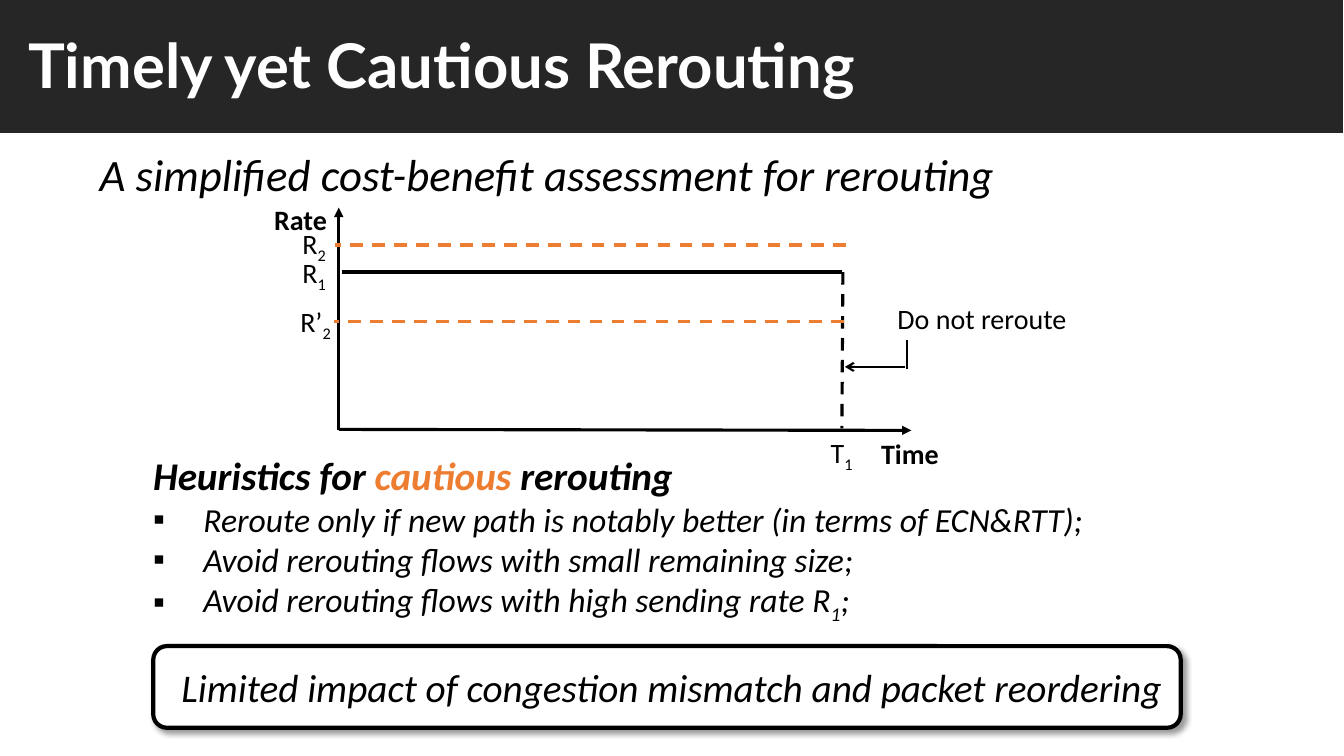
"""Build the slide on timely yet cautious rerouting."""
import pptx
import pptx.util
import pptx.dml.color
import pptx.enum.dml
import pptx.enum.shapes
import pptx.enum.text
import pptx.oxml
import pptx.oxml.ns
from lxml import etree

Inches, Pt = pptx.util.Inches, pptx.util.Pt
Align = pptx.enum.text.PP_ALIGN
Kind = pptx.enum.shapes.MSO_SHAPE
BLACK, WHITE, DARK, ORANGE = "000000", "FFFFFF", "262626", "ED7D31"

TITLE = "Timely yet Cautious Rerouting"
LEAD = "A simplified cost-benefit assessment for rerouting"
CLAIM = "Limited impact of congestion mismatch and packet reordering"
HEAD = [("Heuristics for ", BLACK), ("cautious", ORANGE), (" rerouting", BLACK)]
RULES = [
    ("Reroute only if new path is notably better (in terms of ECN&RTT);",),
    ("Avoid rerouting flows with small remaining size;",),
    ("Avoid rerouting flows with high sending rate R", "1", ";"),
]
LABELS = [
    ((8.64, 4.28, 1.41), ("Time",), True, Align.LEFT),
    ((2.62, 1.96, 1.41), ("Rate",), True, Align.LEFT),
    ((2.9, 2.49, 1.41), ("R", "1"), False, Align.LEFT),
    ((8.14, 4.27, 0.5), ("T", "1"), False, Align.LEFT),
    ((7.96, 2.94, 3.56), ("Do not reroute",), False, Align.CENTER),
    ((2.9, 2.2, 0.71), ("R", "2"), False, Align.LEFT),
    ((2.88, 2.97, 0.71), ("R’", "2"), False, Align.LEFT),
]
LINES = [
    ((3.36, 4.27, 3.36, 2.06), BLACK, 2.25, False, "triangle"),
    ((3.36, 4.26, 9.04, 4.27), BLACK, 2.25, False, "triangle"),
    ((3.39, 2.7, 8.35, 2.7), BLACK, 3, False, None),
    ((8.36, 2.7, 8.35, 4.25), BLACK, 2.25, True, None),
    ((9, 3.37, 9, 3.66), BLACK, 1.5, False, None),
    ((8.98, 3.64, 8.38, 3.64), BLACK, 1.5, False, "arrow"),
    ((8.39, 2.43, 3.32, 2.43), ORANGE, 2.25, True, None),
    ((8.37, 3.19, 3.31, 3.19), ORANGE, 2.25, True, None),
]
SHADOW = (
    '<a:effectLst %s><a:outerShdw blurRad="50800" dist="38100" dir="2700000">'
    '<a:srgbClr val="000000"><a:alpha val="40000"/></a:srgbClr>'
    "</a:outerShdw></a:effectLst>" % pptx.oxml.ns.nsdecls("a")
)


def rgb(code):
    return pptx.dml.color.RGBColor.from_string(code)


def node(host, tag, **attrs):
    return etree.SubElement(host, pptx.oxml.ns.qn(tag), **attrs)


def write(para, text, size, color=BLACK, bold=False, slant=False, face="Calibri"):
    run = para.add_run()
    run.text = text
    font = run.font
    font.name, font.size, font.bold, font.italic = face, Pt(size), bold, slant
    font.color.rgb = rgb(color)
    return run


def write_sub(para, parts, size, **style):
    for i, part in enumerate(parts):
        run = write(para, part, size, **style)
        if i == 1:
            run.font._element.set("baseline", "-25000")


def add_box(slide, spot, align=Align.LEFT):
    box = slide.shapes.add_textbox(*map(Inches, spot))
    box.text_frame.word_wrap = True
    para = box.text_frame.paragraphs[0]
    para.alignment = align
    return box.text_frame, para


def add_shape(slide, kind, spot, fill):
    shape = slide.shapes.add_shape(kind, *map(Inches, spot))
    shape.shadow.inherit = False
    shape.fill.solid()
    shape.fill.fore_color.rgb = rgb(fill)
    shape.line.fill.background()
    return shape


def add_line(slide, ends, color, width, dash, tip):
    link = slide.shapes.add_connector(
        pptx.enum.shapes.MSO_CONNECTOR.STRAIGHT, *map(Inches, ends))
    link.line.color.rgb = rgb(color)
    link.line.width = Pt(width)
    if dash:
        link.line.dash_style = pptx.enum.dml.MSO_LINE.DASH
    if tip:
        node(link.line._get_or_add_ln(), "a:tailEnd", type=tip)
    node(link._element.spPr, "a:effectLst")


def add_title(slide):
    title = slide.shapes.title
    title.left, title.top, title.width, title.height = map(
        Inches, (0.18, 0.22, 9.14, 0.84))
    frame = title.text_frame
    frame.word_wrap = True
    frame.auto_size = pptx.enum.text.MSO_AUTO_SIZE.NONE
    frame.vertical_anchor = pptx.enum.text.MSO_ANCHOR.TOP
    para = frame.paragraphs[0]
    para.alignment = Align.JUSTIFY
    write(para, TITLE, 44, WHITE, bold=True, face="Lato")
    bar = add_shape(slide, Kind.RECTANGLE, (-0.01, -0.05, 13.33, 1.37), DARK)
    title._element.addprevious(bar._element)


def add_rules(slide):
    frame, para = add_box(slide, (1.42, 4.43, 11.84, 2.19), Align.JUSTIFY)
    for text, color in HEAD:
        write(para, text, 28, color, bold=True, slant=True)
    for parts in RULES:
        para = frame.add_paragraph()
        para.alignment = Align.JUSTIFY
        props = para._p.get_or_add_pPr()
        props.set("marL", str(Inches(0.5)))
        props.set("indent", str(Inches(-0.5)))
        node(props, "a:buFont", typeface="Arial")
        node(props, "a:buChar", char="▪")
        write_sub(para, parts, 24, slant=True)


def add_claim(slide):
    card = add_shape(slide, Kind.ROUNDED_RECTANGLE, (1.52, 6.41, 10.19, 0.81), WHITE)
    card.line.color.rgb = rgb(BLACK)
    card.line.width = Pt(3)
    props = card._element.spPr
    props.replace(props.find(pptx.oxml.ns.qn("a:effectLst")),
                  pptx.oxml.parse_xml(SHADOW))
    frame, para = add_box(slide, (1.49, 6.53, 10.34, 1.04), Align.CENTER)
    write(para, CLAIM, 28, slant=True)


def main():
    deck = pptx.Presentation()
    deck.slide_width, deck.slide_height = Inches(13.33), Inches(7.5)
    slide = deck.slides.add_slide(deck.slide_layouts[5])
    add_title(slide)
    add_rules(slide)
    frame, para = add_box(slide, (0.89, 1.41, 9.87, 0.64))
    write(para, LEAD, 32, slant=True)
    for line in LINES:
        add_line(slide, *line)
    for spot, parts, bold, align in LABELS:
        frame, para = add_box(slide, (*spot, 0.44), align)
        write_sub(para, parts, 20, bold=bold)
    add_claim(slide)
    deck.save("out.pptx")


if __name__ == "__main__":
    main()
